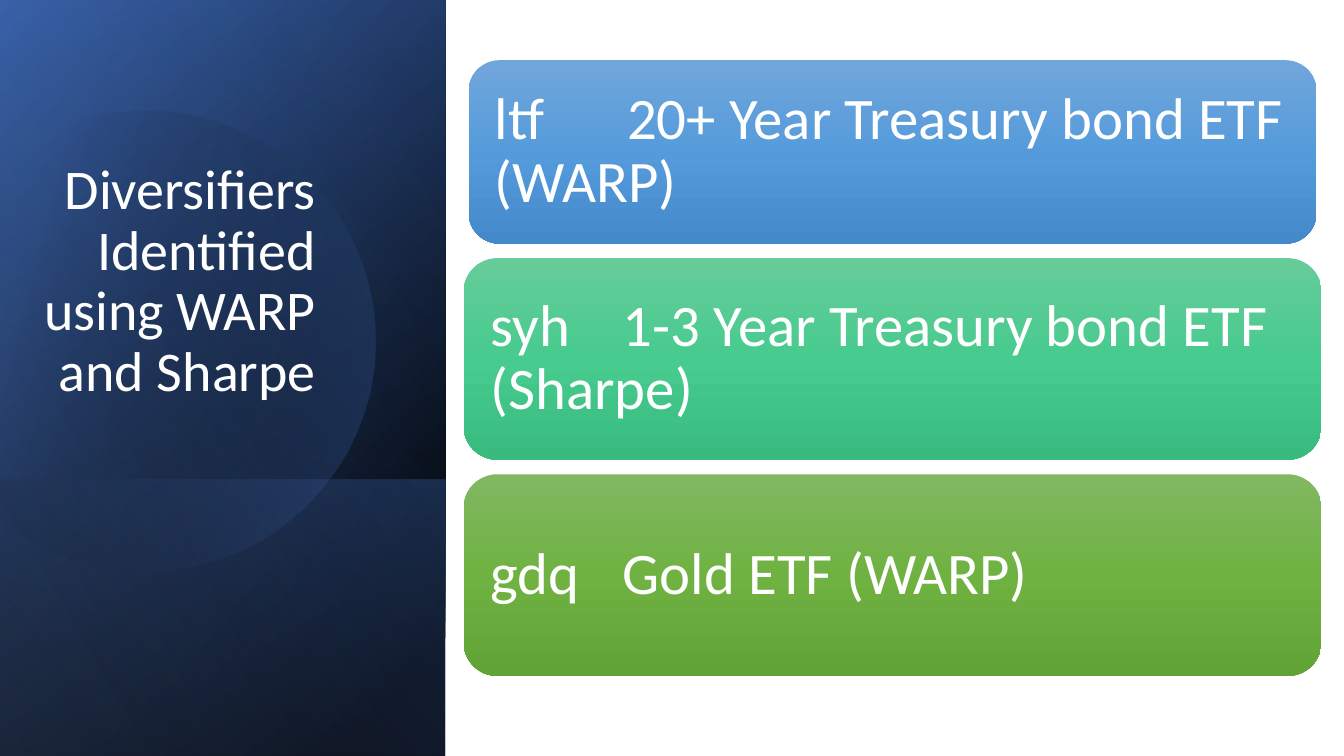
from math import cos, radians, sin

from lxml.etree import SubElement
from pptx import Presentation
from pptx.dml.color import RGBColor
from pptx.enum.shapes import MSO_SHAPE
from pptx.enum.text import MSO_ANCHOR, PP_ALIGN
from pptx.oxml.ns import qn
from pptx.util import Pt

WHITE = RGBColor(0xFF, 0xFF, 0xFF)
BLACK = RGBColor(0x00, 0x00, 0x00)
NAVY = RGBColor(0x2F, 0x55, 0x97)
BLUE = RGBColor(0x44, 0x72, 0xC4)
PALE_BLUE = RGBColor(0x8F, 0xAA, 0xDC)
SKY_SHADES = (RGBColor(0x71, 0xA6, 0xDB), RGBColor(0x55, 0x9B, 0xDB), RGBColor(0x44, 0x8A, 0xCA))
MINT_SHADES = (RGBColor(0x67, 0xCC, 0x9A), RGBColor(0x47, 0xCB, 0x8E), RGBColor(0x39, 0xBB, 0x7F))
LEAF_SHADES = (RGBColor(0x81, 0xB8, 0x61), RGBColor(0x6F, 0xB2, 0x42), RGBColor(0x62, 0xA3, 0x36))

SLIDE_WIDTH, SLIDE_HEIGHT = 960, 540
PANEL_WIDTH = 318.24
FONT = "Calibri"

# Outline of the disc, as fractions of the panel's height: the start,
# then Bézier curves (three points) and straight lines (one point).
DISC_START = (0.199, 0.147)
DISC_SEGMENTS = [
    [(0.328, 0.149), (0.447, 0.236), (0.484, 0.367)],
    [(0.531, 0.529), (0.437, 0.697), (0.276, 0.744)],
    [(0.175, 0.773), (0.071, 0.748), (-0.004, 0.685)],
    [(-0.02, 0.671)],
    [(-0.02, 0.233)],
    [(0, 0.215)],
    [(0.031, 0.189), (0.067, 0.171), (0.107, 0.159)],
    [(0.137, 0.151), (0.168, 0.147), (0.199, 0.147)],
]
DISC_CENTRE = (0.211, 0.446)
DISC_ROTATION = 343.9

CARDS = [
    ("ltf", "20+ Year Treasury bond ETF (WARP)", SKY_SHADES, 3.6, 131),
    ("syh", "1-3 Year Treasury bond ETF (Sharpe)", MINT_SHADES, 0, 144),
    ("gdq", "Gold ETF (WARP)", LEAF_SHADES, 0, 144),
]
CARD_GAP = 10.4


def fill_gradient(shape, stops, angle):
    """Fill with (position %, colour, opacity %) stops; no outline or shadow."""
    shape.shadow.inherit = False
    shape.line.fill.background()
    shape.fill.background()
    properties = shape._element.spPr
    gradient = SubElement(properties, qn("a:gradFill"), rotWithShape="1")
    stop_list = SubElement(gradient, qn("a:gsLst"))
    for position, colour, opacity in stops:
        stop = SubElement(stop_list, qn("a:gs"), pos=str(position * 1000))
        color = SubElement(stop, qn("a:srgbClr"), val=str(colour))
        if opacity < 100:
            SubElement(color, qn("a:alpha"), val=str(opacity * 1000))
    SubElement(gradient, qn("a:lin"), ang=str(angle * 60000), scaled="0")
    properties.replace(properties.find(qn("a:noFill")), gradient)


def write_text(shape, text, size, frame_format, alignment):
    frame = shape.text_frame
    for name, value in frame_format.items():
        setattr(frame, name, value)
    paragraph = frame.paragraphs[0]
    paragraph.alignment = alignment
    paragraph.line_spacing = 0.9
    run = paragraph.add_run()
    run.text = text
    for name, value in {"name": FONT, "size": Pt(size)}.items():
        setattr(run.font, name, value)
    run.font.color.rgb = WHITE
    return paragraph


def add_turned_layer(slide, left, top, width, height, stops, angle):
    """Cover the given box with a mirrored rectangle turned by 90 degrees."""
    offset = (width - height) / 2
    layer = slide.shapes.add_shape(
        MSO_SHAPE.RECTANGLE, Pt(left + offset), Pt(top - offset), Pt(height), Pt(width))
    layer.rotation = 90
    layer._element.spPr.find(qn("a:xfrm")).set("flipH", "1")
    fill_gradient(layer, stops, angle)


def disc_points(steps=16):
    """Flatten the disc's outline."""
    points = [DISC_START]
    for segment in DISC_SEGMENTS:
        if len(segment) == 1:
            points += segment
            continue
        curve = [points[-1], *segment]
        for step in range(1, steps + 1):
            t = step / steps
            weights = ((1 - t) ** 3, 3 * t * (1 - t) ** 2, 3 * t * t * (1 - t), t ** 3)
            points.append(tuple(
                sum(weight * point[axis] for weight, point in zip(weights, curve))
                for axis in (0, 1)))
    return points


def add_disc(slide, left, top, height):
    """Draw the disc turned back, then rotate it into place with its gradient."""
    angle = radians(-DISC_ROTATION)
    centre_x, centre_y = DISC_CENTRE
    outline = []
    for x, y in disc_points():
        dx, dy = x - centre_x, y - centre_y
        outline.append((
            Pt(left + height * (centre_x + dx * cos(angle) - dy * sin(angle))),
            Pt(top + height * (centre_y + dx * sin(angle) + dy * cos(angle)))))
    builder = slide.shapes.build_freeform(*outline[0])
    builder.add_line_segments(outline[1:], close=True)
    disc = builder.convert_to_shape()
    disc.rotation = DISC_ROTATION
    fill_gradient(disc, [(29, BLACK, 0), (100, BLUE, 43)], 30)


def add_title_panel(slide, left, top, width, height):
    box = (left, top, width, height)
    lower_height = 197.28
    lower_box = (left, top + height - lower_height, width, lower_height)
    add_turned_layer(slide, *box, [(8, BLACK, 100), (100, NAVY, 100)], 50)
    add_turned_layer(slide, *box, [(0, BLACK, 0), (99, BLUE, 46)], 30)
    add_turned_layer(slide, *lower_box, [(2, BLUE, 29), (100, BLACK, 30)], 130)
    add_disc(slide, left, top, height)
    add_turned_layer(slide, *box, [(0, BLACK, 0), (99, PALE_BLUE, 11)], 120)

    title = slide.shapes.add_textbox(Pt(left - 13), Pt(top + 103), Pt(245.5), Pt(188.6))
    write_text(title, "Diversifiers Identified using WARP and Sharpe", 40,
               {"word_wrap": True, "vertical_anchor": MSO_ANCHOR.BOTTOM}, PP_ALIGN.RIGHT)


def add_fund_cards(slide, left, top, width):
    margins = {f"margin_{side}": Pt(12.24) for side in ("left", "top", "right", "bottom")}
    frame_format = {"word_wrap": True, "vertical_anchor": MSO_ANCHOR.MIDDLE, **margins}
    for ticker, fund, shades, inset, height in CARDS:
        card = slide.shapes.add_shape(
            MSO_SHAPE.ROUNDED_RECTANGLE,
            Pt(left + inset), Pt(top), Pt(width - 2 * inset), Pt(height))
        fill_gradient(card, [(50 * i, shade, 100) for i, shade in enumerate(shades)], 90)
        paragraph = write_text(card, f"{ticker}\t{fund}", 42, frame_format, PP_ALIGN.LEFT)
        tabs = SubElement(paragraph._p.get_or_add_pPr(), qn("a:tabLst"))
        SubElement(tabs, qn("a:tab"), pos=str(Pt(94.5)), algn="l")
        top += height + CARD_GAP


def main():
    presentation = Presentation()
    presentation.slide_width = Pt(SLIDE_WIDTH)
    presentation.slide_height = Pt(SLIDE_HEIGHT)
    slide = presentation.slides.add_slide(presentation.slide_layouts[6])
    add_title_panel(slide, 0, 0, PANEL_WIDTH, SLIDE_HEIGHT)
    add_fund_cards(slide, 331.2, 43, 612.7)
    presentation.save("out.pptx")


if __name__ == "__main__":
    main()
